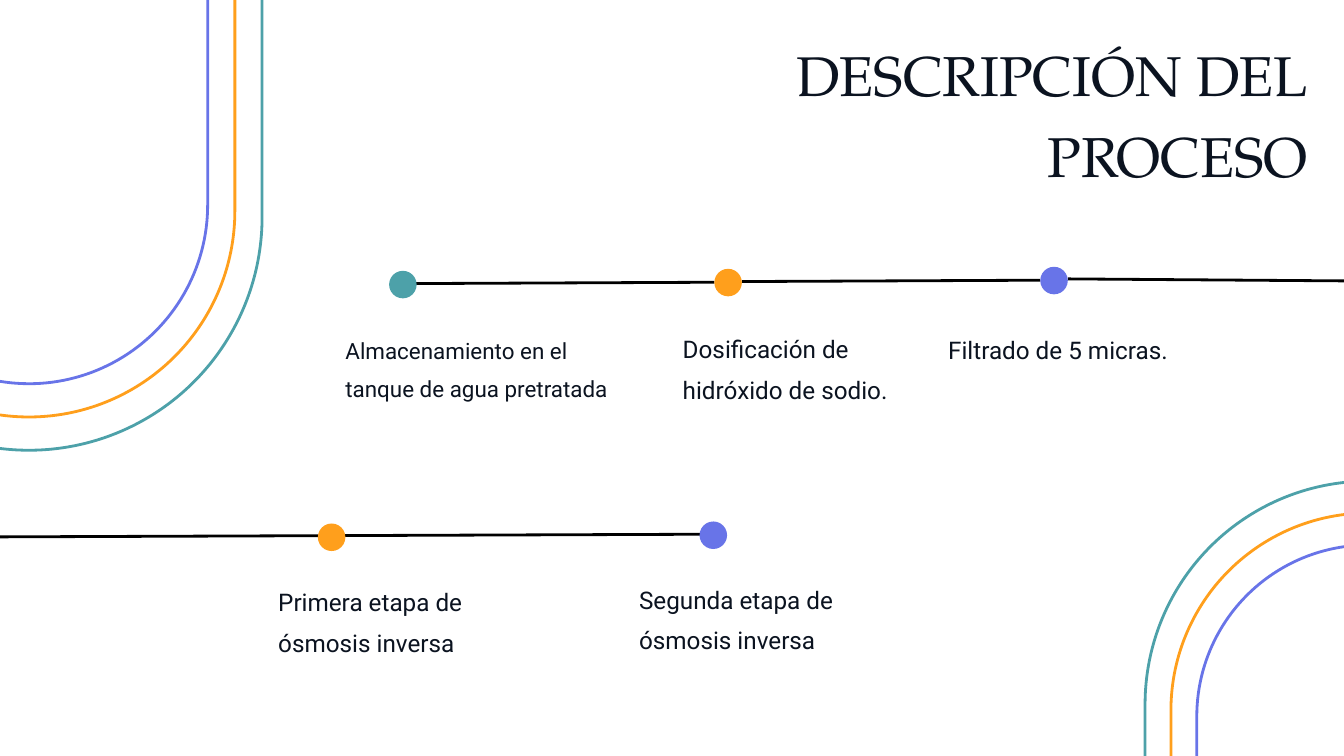
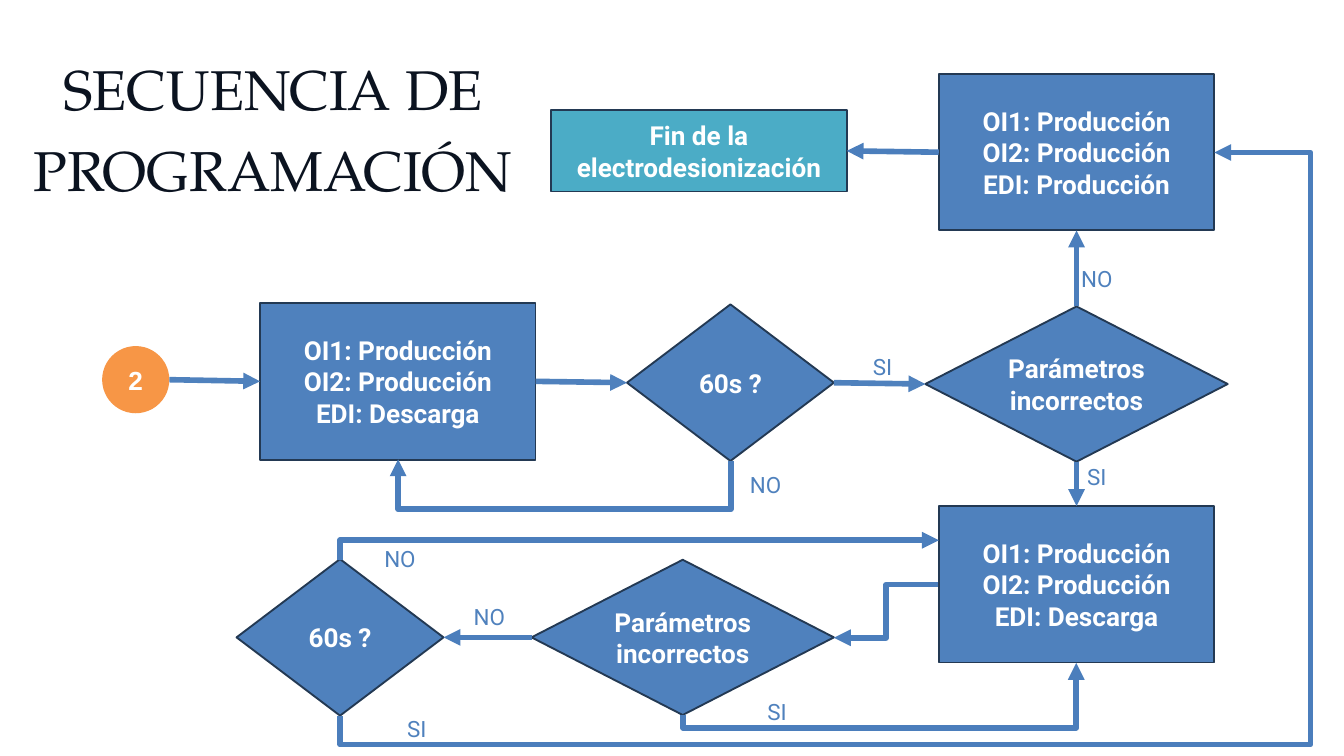
"""Builds two slides on a water treatment process: a timeline and a flow chart."""
from lxml import etree
from pptx import Presentation
from pptx.dml.color import RGBColor
from pptx.enum.shapes import MSO_CONNECTOR, MSO_SHAPE
from pptx.enum.text import MSO_ANCHOR, MSO_AUTO_SIZE, PP_ALIGN
from pptx.oxml.ns import qn
from pptx.util import Inches, Pt

STRAIGHT, ELBOW = MSO_CONNECTOR.STRAIGHT, MSO_CONNECTOR.ELBOW
OVAL, RECTANGLE = MSO_SHAPE.OVAL, MSO_SHAPE.RECTANGLE
DECISION, ARCH = MSO_SHAPE.FLOWCHART_DECISION, MSO_SHAPE.ROUND_2_SAME_RECTANGLE
LEFT, CENTER, RIGHT = PP_ALIGN.LEFT, PP_ALIGN.CENTER, PP_ALIGN.RIGHT
TOP, BOTTOM, LEFT_SIDE, RIGHT_SIDE = 0, 2, 1, 3

INK, WHITE, BLACK = "0B1320", "FFFFFF", "000000"
TEAL, ORANGE, VIOLET = "4DA1A9", "FF9F1C", "6874E8"
BLUE, ARROW_BLUE, NAVY = "4F81BD", "4B7EBC", "233953"
AQUA, CORAL = "4BACC6", "F79646"
TITLE_FONT, BODY_FONT = "TeX Gyre Pagella", "Roboto"
color = RGBColor.from_string


def write(shape, lines, size, hex_color, font=BODY_FONT, bold=False, align=LEFT, spacing=None, wrap=True):
    """Fill a shape with one paragraph for each line."""
    frame = shape.text_frame
    frame.word_wrap = wrap
    if wrap:
        frame.margin_left = frame.margin_right = frame.margin_top = frame.margin_bottom = 0
    for index, line in enumerate(lines):
        paragraph = frame.paragraphs[0] if index == 0 else frame.add_paragraph()
        paragraph.alignment = align
        paragraph.line_spacing = spacing
        run = paragraph.add_run()
        run.text = line
        run.font.size, run.font.name, run.font.bold = Pt(size), font, bold
        run.font.color.rgb = color(hex_color)


def draw_line(slide, kind, ends, hex_color, width, arrow=False):
    """Add a connector without shadow, with an arrowhead at its end if asked."""
    connector = slide.shapes.add_connector(kind, *[Inches(value) for value in ends])
    connector.line.color.rgb = color(hex_color)
    connector.line.width = Pt(width)
    if arrow:
        etree.SubElement(connector.line._get_or_add_ln(), qn("a:tailEnd"), type="triangle")
    etree.SubElement(connector._element.spPr, qn("a:effectLst"))
    return connector


presentation = Presentation()
presentation.slide_width, presentation.slide_height = Inches(20), Inches(11.25)
blank = presentation.slide_layouts[6]
process = presentation.slides.add_slide(blank)
sequence = presentation.slides.add_slide(blank)

titles = [
    (process, "DESCRIPCIÓN DEL PROCESO", 11.42, 0.41, 8.04, RIGHT),
    (sequence, "SECUENCIA DE PROGRAMACIÓN", -1.35, 0.61, 10.83, CENTER),
]
for slide, title, left, top, width, align in titles:
    box = slide.shapes.add_textbox(Inches(left), Inches(top), Inches(width), Inches(2.42))
    write(box, [title], 60, INK, TITLE_FONT, align=align, spacing=1.2)

timeline = [
    (6.19, 4.22, 10.63, 4.2),
    (11.04, 4.19, 15.48, 4.17),
    (15.89, 4.15, 20, 4.18),
    (-0.13, 7.99, 10.45, 7.95),
]
for ends in timeline:
    draw_line(process, STRAIGHT, ends, BLACK, 3)

dots = [
    (5.79, 4.03, TEAL),
    (10.63, 4, ORANGE),
    (15.48, 3.97, VIOLET),
    (4.73, 7.79, ORANGE),
    (10.41, 7.76, VIOLET),
]
for left, top, fill in dots:
    dot = process.shapes.add_shape(OVAL, Inches(left), Inches(top), Inches(0.41), Inches(0.41))
    dot.shadow.inherit = False
    dot.fill.solid()
    dot.fill.fore_color.rgb = color(fill)
    dot.line.fill.background()

steps = [
    ("Almacenamiento en el tanque de agua pretratada", 5.14, 4.86, 4.26, 24),
    ("Dosificación de hidróxido de sodio.", 10.16, 4.8, 3.68, 26),
    ("Filtrado de 5 micras.", 14.11, 4.81, 4.28, 26),
    ("Primera etapa de ósmosis inversa", 4.14, 8.57, 3.68, 26),
    ("Segunda etapa de ósmosis inversa", 9.51, 8.53, 4.28, 26),
]
for step, left, top, width, size in steps:
    box = process.shapes.add_textbox(Inches(left), Inches(top), Inches(width), Inches(1.23))
    write(box, [step], size, INK, spacing=1.4)

arch_groups = [
    (20.36, 11.25, 6.64, 8.18, 0.77, 0.95, 0),
    (0.43, 2.43, 6.94, 8.54, 0.81, 0.99, 180),
]
for center_x, center_y, outer_width, outer_height, width_step, height_step, rotation in arch_groups:
    for index, hex_color in enumerate([TEAL, ORANGE, VIOLET]):
        width, height = outer_width - index * width_step, outer_height - index * height_step
        arch = process.shapes.add_shape(
            ARCH, Inches(center_x - width / 2), Inches(center_y - height / 2), Inches(width), Inches(height))
        arch.adjustments[0] = 0.5
        arch.rotation = rotation
        arch.shadow.inherit = False
        arch.fill.background()
        arch.line.color.rgb = color(hex_color)
        arch.line.width = Pt(3)

discharge = ["OI1: Producción", "OI2: Producción", "EDI: Descarga"]
production = ["OI1: Producción", "OI2: Producción", "EDI: Producción"]
wrong_values = ["Parámetros incorrectos"]
wait = ["60s ?"]
nodes = [
    ("start", OVAL, 1.52, 5.15, 1, 1, CORAL, ["2"]),
    ("discharge", RECTANGLE, 3.87, 4.51, 4.1, 2.33, BLUE, discharge),
    ("wait", DECISION, 9.33, 4.53, 3.08, 2.33, BLUE, wait),
    ("check", DECISION, 13.77, 4.56, 4.5, 2.31, BLUE, wrong_values),
    ("production", RECTANGLE, 13.97, 1.1, 4.1, 2.33, BLUE, production),
    ("end", RECTANGLE, 8.2, 1.64, 4.4, 1.21, AQUA, ["Fin de la electrodesionización"]),
    ("second discharge", RECTANGLE, 13.97, 7.53, 4.1, 2.33, BLUE, discharge),
    ("second check", DECISION, 7.91, 8.33, 4.5, 2.31, BLUE, wrong_values),
    ("second wait", DECISION, 3.52, 8.32, 3.08, 2.33, BLUE, wait),
]
flow = {}
for name, kind, left, top, width, height, fill, lines in nodes:
    node = sequence.shapes.add_shape(kind, Inches(left), Inches(top), Inches(width), Inches(height))
    node.shadow.inherit = False
    node.fill.solid()
    node.fill.fore_color.rgb = color(fill)
    if kind == OVAL:
        node.line.fill.background()
    else:
        node.line.color.rgb = color(NAVY)
        node.line.width = Pt(2)
    node.text_frame.vertical_anchor = MSO_ANCHOR.MIDDLE
    write(node, lines, 28, WHITE, "Arial" if kind == OVAL else BODY_FONT, True, CENTER)
    flow[name] = node

first_arrow = draw_line(sequence, STRAIGHT, (2.52, 5.65, 3.87, 5.67), BLUE, 6, True)
first_arrow.end_connect(flow["discharge"], LEFT_SIDE)
links = [
    ("discharge", RIGHT_SIDE, "wait", LEFT_SIDE, BLUE),
    ("wait", RIGHT_SIDE, "check", LEFT_SIDE, BLUE),
    ("check", TOP, "production", BOTTOM, ARROW_BLUE),
    ("production", LEFT_SIDE, "end", RIGHT_SIDE, ARROW_BLUE),
    ("check", BOTTOM, "second discharge", TOP, ARROW_BLUE),
    ("second check", LEFT_SIDE, "second wait", RIGHT_SIDE, ARROW_BLUE),
]
for source, source_side, target, target_side, hex_color in links:
    link = draw_line(sequence, STRAIGHT, (0, 0, 1, 1), hex_color, 6, True)
    link.begin_connect(flow[source], source_side)
    link.end_connect(flow[target], target_side)

elbows = [
    (8.39, 4.37, 0.02, 4.95, 90, ["flipH"], "bentConnector3", [-36]),
    (12.41, 8.7, 1.55, 0.79, 180, ["flipV"], "bentConnector3", [0.5]),
    (12.7, 7.33, 0.78, 5.85, 90, ["flipH", "flipV"], "bentConnector3", [-0.24]),
    (9.37, 3.73, 0.29, 8.91, 90, ["flipH", "flipV"], "bentConnector2", []),
    (7.37, -0.04, 8.39, 13.01, 90, ["flipH", "flipV"], "bentConnector4", [-0.05, 1.11]),
]
for left, top, width, height, rotation, flips, preset, bends in elbows:
    ends = (left, top, left + width, top + height)
    elbow = draw_line(sequence, ELBOW, ends, ARROW_BLUE, 6, True)
    frame = elbow._element.spPr.find(qn("a:xfrm"))
    frame.set("rot", str(rotation * 60000))
    for flip in flips:
        frame.set(flip, "1")
    geometry = elbow._element.spPr.find(qn("a:prstGeom"))
    geometry.set("prst", preset)
    guides = geometry.find(qn("a:avLst"))
    for index, bend in enumerate(bends, 1):
        etree.SubElement(guides, qn("a:gd"), name=f"adj{index}", fmla=f"val {round(bend * 100000)}")

answers = {
    "SI": [(12.89, 5.2), (16.08, 6.84), (11.32, 10.34), (5.96, 10.59)],
    "NO": [(5.62, 8.06), (11.06, 6.96), (15.99, 3.9), (6.95, 8.93)],
}
for answer, places in answers.items():
    width = 0.49 if answer == "SI" else 0.67
    for left, top in places:
        label = sequence.shapes.add_textbox(Inches(left), Inches(top), Inches(width), Inches(0.5))
        write(label, [answer], 24, BLUE, wrap=False)
        label.text_frame.auto_size = MSO_AUTO_SIZE.SHAPE_TO_FIT_TEXT

presentation.save("out.pptx")
